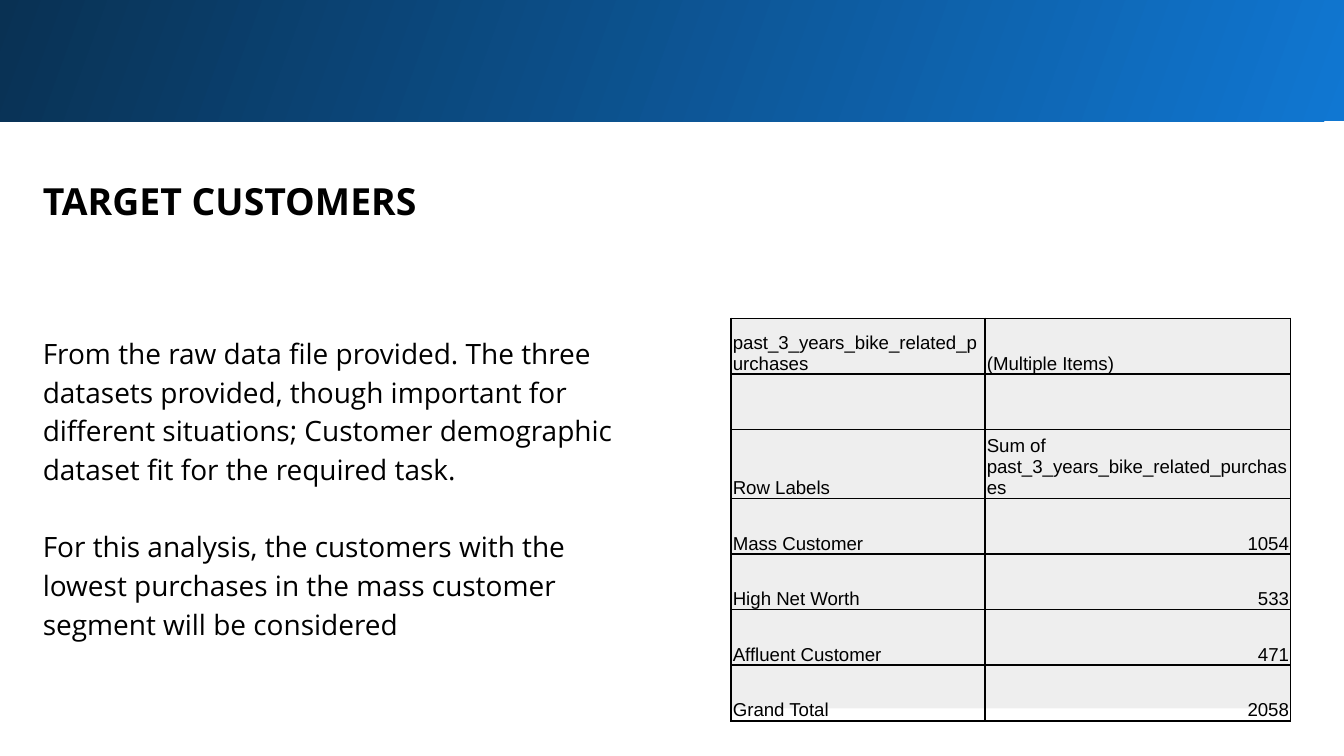
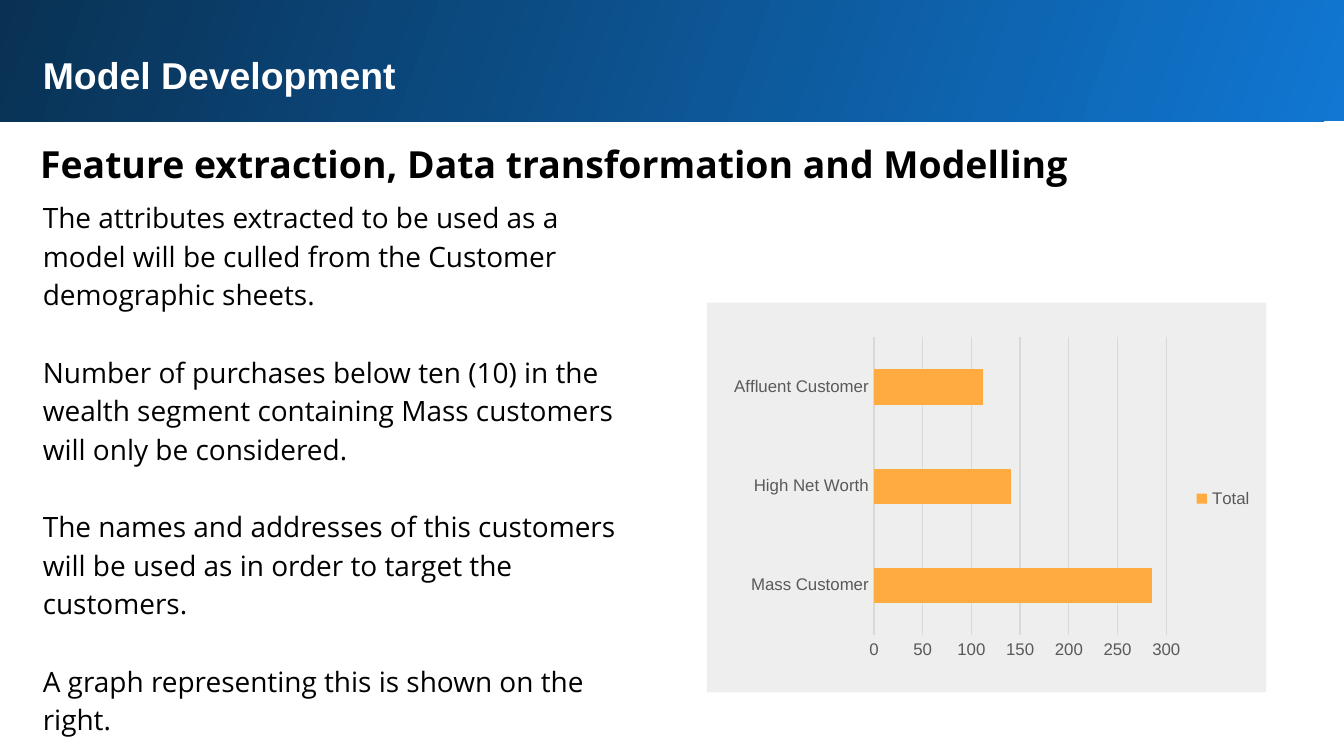
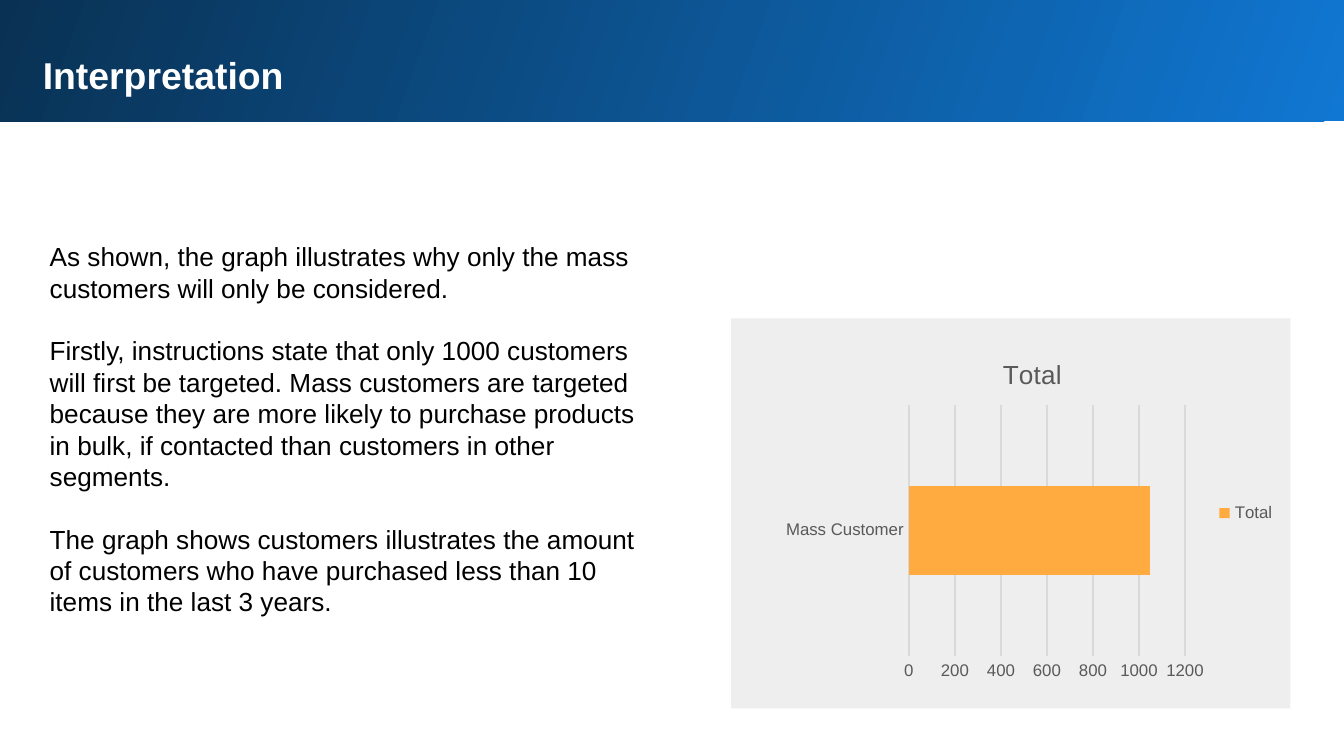
from lxml import etree
from pptx import Presentation
from pptx import util as u
from pptx.chart.data import CategoryChartData
from pptx.dml.color import RGBColor
from pptx.enum import chart as ch, shapes, text
from pptx.oxml import ns

BLACK = RGBColor(0x00, 0x00, 0x00)
WHITE = RGBColor(0xFF, 0xFF, 0xFF)
NAVY = RGBColor(0x09, 0x31, 0x53)
BLUE = RGBColor(0x10, 0x77, 0xD2)
PANEL = RGBColor(0xEE, 0xEE, 0xEE)
ORANGE = RGBColor(0xFF, 0xAB, 0x40)
GRID = RGBColor(0xD9, 0xD9, 0xD9)
GREY = RGBColor(0x59, 0x59, 0x59)
ARIAL, OPEN_SANS = "Arial", "Open Sans"
PANEL_SIZE = (10.57, 7.37)
TITLE_SIZE = (23.8, 1.42)

PURCHASES = [
    ("past_3_years_bike_related_purchases", "(Multiple Items)"),
    ("", ""),
    ("Row Labels", "Sum of past_3_years_bike_related_purchases"),
    ("Mass Customer", "1054"),
    ("High Net Worth", "533"),
    ("Affluent Customer", "471"),
    ("Grand Total", "2058"),
]


def lengths(*values):
    """Turn centimetre values into lengths."""
    return [u.Cm(v) for v in values]


def style(font, size, name=ARIAL, color=BLACK, bold=False):
    """Set the look of a font."""
    font.size, font.name, font.bold = u.Pt(size), name, bold
    font.color.rgb = color


def add_rect(s, box):
    """Add a plain rectangle without outline or shadow."""
    sp = s.shapes.add_shape(shapes.MSO_SHAPE.RECTANGLE, *lengths(*box))
    sp.shadow.inherit = False
    sp.line.fill.background()
    return sp


def add_band(s):
    """Add the gradient band at the top."""
    fill = add_rect(s, (-0.05, -0.05, 25.5, 2.34)).fill
    fill.gradient()
    fill.gradient_angle = 160
    for stop, color in zip(fill.gradient_stops, (BLUE, NAVY)):
        stop.color.rgb = color


def add_text(s, box, paragraphs, size, name=ARIAL, color=BLACK, bold=False,
             spacing=None, gap=0, margin=0.25):
    """Add a wrapped text box with a gap between its paragraphs."""
    tf = s.shapes.add_textbox(*lengths(*box)).text_frame
    tf.word_wrap = True
    tf.margin_left = tf.margin_right = tf.margin_top = tf.margin_bottom = u.Cm(margin)
    for i, line in enumerate(paragraphs):
        p = tf.add_paragraph() if i else tf.paragraphs[0]
        p.text = line
        p.line_spacing = spacing
        if i:
            p.space_before = u.Pt(gap)
        style(p.font, size, name, color, bold)


def add_title(s, title):
    """Add the white title on the band."""
    add_text(s, (0.56, 0.74, *TITLE_SIZE), [title], 20, color=WHITE, bold=True)


def add_heading(s, left, top, heading):
    """Add a black heading below the band."""
    add_text(s, (left, top, *TITLE_SIZE), [heading], 20, OPEN_SANS, bold=True, spacing=1.15)


def add_body(s, top, height, paragraphs):
    """Add the running text of the left column."""
    add_text(s, (0.56, top, 11.48, height), paragraphs, 15, OPEN_SANS, spacing=1.15, gap=20.7)


def add_panel(s, left, top):
    """Add the grey panel on the right."""
    sp = add_rect(s, (left, top, *PANEL_SIZE))
    sp.fill.solid()
    sp.fill.fore_color.rgb = PANEL


def add_borders(cell):
    """Draw thin black lines around a cell."""
    tcPr = cell._tc.get_or_add_tcPr()
    for i, side in enumerate(("lnL", "lnR", "lnT", "lnB")):
        ln = etree.Element(ns.qn(f"a:{side}"), w=str(u.Pt(1)))
        fill = etree.SubElement(ln, ns.qn("a:solidFill"))
        etree.SubElement(fill, ns.qn("a:srgbClr"), val=str(BLACK))
        tcPr.insert(i, ln)


def add_purchase_table(s, left, top):
    """Add the panel with the table of purchases."""
    add_panel(s, left, top)
    widths, height = (4.8, 5.77), 1.05
    frame = s.shapes.add_table(len(PURCHASES), len(widths),
                               *lengths(left, top, sum(widths), height * len(PURCHASES)))
    table = frame.table
    table.first_row = table.horz_banding = False
    for column, width in zip(table.columns, widths):
        column.width = u.Cm(width)
    for row, values in zip(table.rows, PURCHASES):
        row.height = u.Cm(height)
        for cell, value in zip(row.cells, values):
            cell.text = value
            cell.fill.background()
            cell.vertical_anchor = text.MSO_ANCHOR.BOTTOM
            cell.margin_left = cell.margin_right = cell.margin_top = u.Cm(0.03)
            cell.margin_bottom = 0
            p = cell.text_frame.paragraphs[0]
            if value.isdigit():
                p.alignment = text.PP_ALIGN.RIGHT
            style(p.font, 10)
            add_borders(cell)


def add_bar_chart(s, panel, box, totals, title=None):
    """Add the panel with a bar chart, placed relative to the panel."""
    left, top = panel
    add_panel(s, left, top)
    dx, dy, width, height = box
    data = CategoryChartData()
    data.categories = list(totals)
    data.add_series("Total", totals.values())
    chart = s.shapes.add_chart(ch.XL_CHART_TYPE.BAR_CLUSTERED,
                               *lengths(left + dx, top + dy, width, height), data).chart
    style(chart.font, 10)
    chart.has_title = bool(title)
    if title:
        p = chart.chart_title.text_frame.paragraphs[0]
        p.text = title
        style(p.font, 14, color=GREY)
    chart.has_legend = True
    chart.legend.position = ch.XL_LEGEND_POSITION.RIGHT
    chart.legend.include_in_layout = False
    style(chart.legend.font, 9, color=GREY)
    plot = chart.plots[0]
    plot.gap_width, plot.vary_by_categories = 182, False
    fill = plot.series[0].format.fill
    fill.solid()
    fill.fore_color.rgb = ORANGE
    categories, values = chart.category_axis, chart.value_axis
    for axis in (categories, values):
        axis.major_tick_mark = axis.minor_tick_mark = ch.XL_TICK_MARK.NONE
        style(axis.tick_labels.font, 9, color=GREY)
    categories.has_major_gridlines = False
    values.has_major_gridlines = True
    values.format.line.fill.background()
    for line in (categories.format.line, values.major_gridlines.format.line):
        line.color.rgb, line.width = GRID, u.Pt(0.75)


def target_customers(s):
    """Build the slide on target customers."""
    add_heading(s, 0.56, 3, "TARGET CUSTOMERS")
    add_body(s, 6.02, 7.14, [
        "From the raw data file provided. The three datasets provided, though important for "
        "different situations; Customer demographic dataset fit for the required task.",
        "For this analysis, the customers with the lowest purchases in the mass customer "
        "segment will be considered",
    ])
    add_purchase_table(s, 13.82, 6.02)


def model_development(s):
    """Build the slide on model development."""
    add_title(s, "Model Development")
    add_heading(s, 0.51, 2.29, "Feature extraction, Data transformation and Modelling")
    add_body(s, 3.45, 10.84, [
        "The attributes extracted to be used as a model will be culled from the Customer "
        "demographic sheets.",
        "Number of purchases below ten (10) in the wealth segment containing Mass customers "
        "will only be considered.",
        "The names and addresses of this customers will be used as in order to target the "
        "customers.",
        "A graph representing this is shown on the right.",
    ])
    add_bar_chart(s, (13.36, 5.72), (0.31, 0.53, 10.26, 6.35),
                  {"Mass Customer": 285, "High Net Worth": 141, "Affluent Customer": 112})


def interpretation(s):
    """Build the slide on the interpretation."""
    add_title(s, "Interpretation")
    add_text(s, (0.81, 4.42, 11.66, 8.64), [
        "As shown, the graph illustrates why only the mass customers will only be considered.",
        "Firstly, instructions state that only 1000 customers will first be targeted. Mass "
        "customers are targeted because they are more likely to purchase products in bulk, "
        "if contacted than customers in other segments.",
        "The graph shows customers illustrates the amount of customers who have purchased "
        "less than 10 items in the last 3 years.",
    ], 14, gap=16.8, margin=0.13)
    add_bar_chart(s, (13.82, 6.02), (0.84, 0.38, 9.7, 6.6), {"Mass Customer": 1050}, "Total")


def main():
    """Build and save the presentation."""
    prs = Presentation()
    prs.slide_width, prs.slide_height = lengths(25.4, 14.29)
    for build in (target_customers, model_development, interpretation):
        s = prs.slides.add_slide(prs.slide_layouts[6])
        add_band(s)
        build(s)
    prs.save("out.pptx")


if __name__ == "__main__":
    main()
